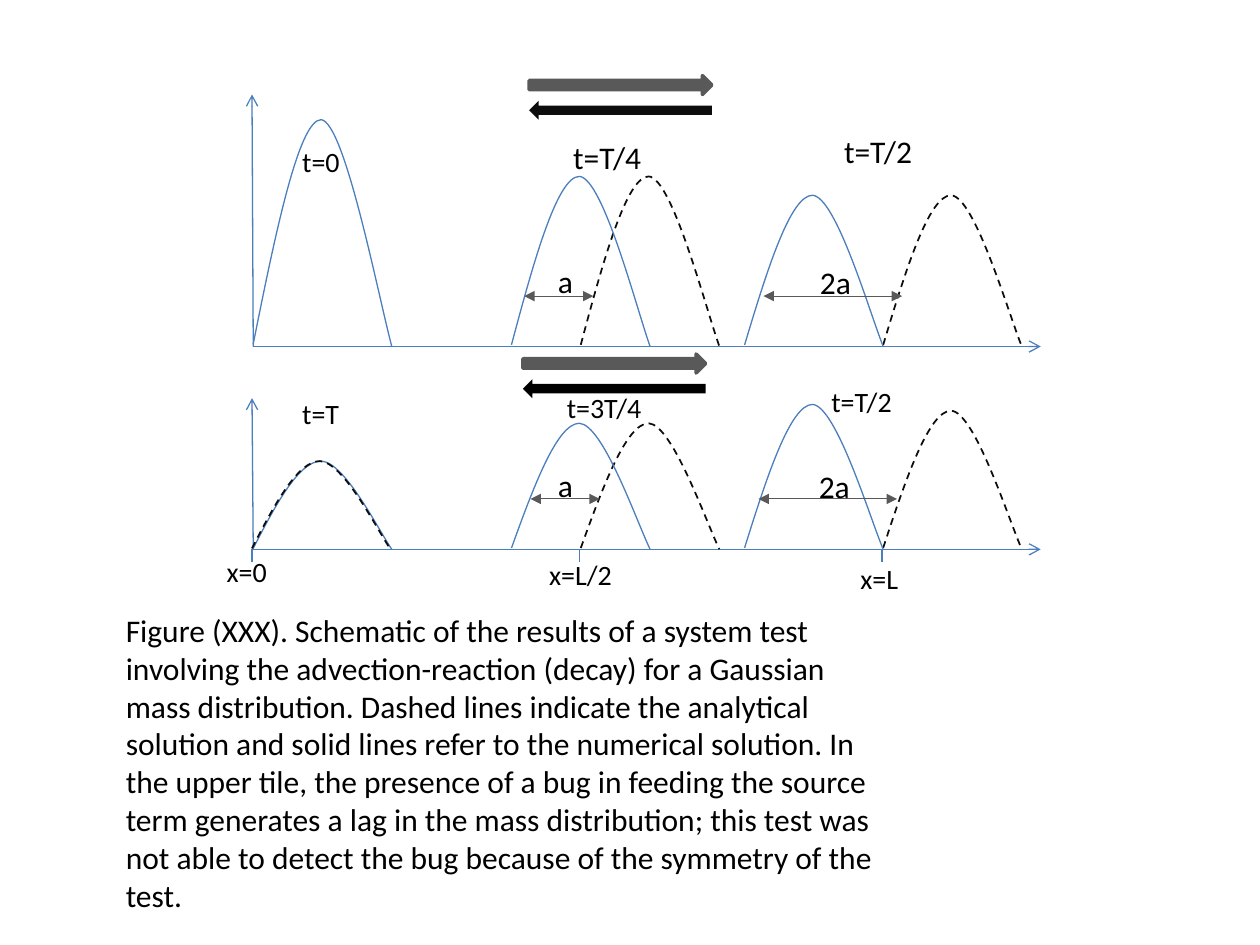
from dataclasses import dataclass
from lxml.etree import SubElement
from pptx import Presentation
from pptx.dml.color import RGBColor
from pptx.enum.dml import MSO_LINE
from pptx.enum.shapes import MSO_CONNECTOR, MSO_SHAPE
from pptx.oxml.ns import qn
from pptx.util import Inches, Pt

BLUE, GRAY, NEAR_BLACK, BLACK = "4B7EBC", "595959", "0D0D0D", "000000"
CURVE_WIDTH = 1.1
CURVE_POINTS = [(0, 0.99), (0.16, 0.5), (0.33, 0), (0.49, 0), (0.66, 0.01), (0.9, 0.77), (1, 1)]


@dataclass
class Curve:
    left: float
    top: float
    dashed: bool = False


@dataclass
class Label:
    text: str
    left: float
    top: float
    width: float
    size: int = 16
    height: float = 0.37


@dataclass
class Panel:
    baseline: float
    axis_top: float
    curves: list[Curve]
    spans: list[tuple[float, float]]
    span_y: float
    flow_left: float
    flow_top: float
    back_color: str


def color(value: str) -> RGBColor:
    return RGBColor.from_string(value)


def draw_line(page, start, end, line_color: str, width: float, head: str = "", tail: str = "") -> None:
    line = page.shapes.add_connector(
        MSO_CONNECTOR.STRAIGHT, *(Inches(value) for value in (*start, *end)))
    line.line.color.rgb = color(line_color)
    line.line.width = Pt(width)
    outline = line.line._get_or_add_ln()
    for tag, kind in (("a:headEnd", head), ("a:tailEnd", tail)):
        if kind:
            SubElement(outline, qn(tag), type=kind)
    SubElement(line._element.spPr, qn("a:effectLst"))


def draw_curve(page, curve: Curve, baseline: float) -> None:
    height = baseline - curve.top
    points = [(Inches(curve.left + CURVE_WIDTH * across), Inches(curve.top + height * down))
              for across, down in CURVE_POINTS]
    builder = page.shapes.build_freeform(*points[0])
    builder.add_line_segments(points[1:], close=False)
    shape = builder.convert_to_shape()
    outline = shape._element.spPr.find(".//" + qn("a:path"))
    segments = outline.findall(qn("a:lnTo"))
    for first in range(0, len(segments), 3):
        bezier = SubElement(outline, qn("a:cubicBezTo"))
        for segment in segments[first:first + 3]:
            bezier.append(segment[0])
            outline.remove(segment)
    shape.shadow.inherit = False
    shape.fill.background()
    shape.line.color.rgb = color(NEAR_BLACK if curve.dashed else BLUE)
    shape.line.width = Pt(1 if curve.dashed else 0.75)
    if curve.dashed:
        shape.line.dash_style = MSO_LINE.DASH


def draw_flow(page, kind, left: float, top: float, fill: str, outlined: bool) -> None:
    arrow = page.shapes.add_shape(kind, Inches(left), Inches(top), Inches(1.45), Inches(0.15))
    arrow.shadow.inherit = False
    arrow.fill.solid()
    arrow.fill.fore_color.rgb = color(fill)
    if outlined:
        arrow.line.color.rgb = color(fill)
        arrow.line.width = Pt(2)
    else:
        arrow.line.fill.background()


def draw_label(page, label: Label) -> None:
    box = page.shapes.add_textbox(
        Inches(label.left), Inches(label.top), Inches(label.width), Inches(label.height))
    box.text_frame.word_wrap = True
    box.text_frame.text = label.text
    font = box.text_frame.paragraphs[0].runs[0].font
    font.name = "Calibri"
    font.size = Pt(label.size)
    font.color.rgb = color(BLACK)


def draw_panel(page, panel: Panel) -> None:
    origin = (2.01, panel.baseline)
    for end in ((2.0, panel.axis_top), (8.26, panel.baseline)):
        draw_line(page, origin, end, BLUE, 0.75, tail="arrow")
    for curve in panel.curves:
        draw_curve(page, curve, panel.baseline)
    for left, right in panel.spans:
        draw_line(page, (left, panel.span_y), (right, panel.span_y), GRAY, 0.5, "triangle", "triangle")
    draw_flow(page, MSO_SHAPE.RIGHT_ARROW, panel.flow_left, panel.flow_top, GRAY, True)
    draw_flow(page, MSO_SHAPE.LEFT_ARROW, panel.flow_left, panel.flow_top + 0.2, panel.back_color, False)


PANELS = [
    Panel(2.75, 0.75,
          [Curve(2.01, 0.95), Curve(4.61, 1.4, True), Curve(4.06, 1.4),
           Curve(7.01, 1.55, True), Curve(5.91, 1.55)],
          [(4.16, 4.71), (6.06, 7.16)], 2.35, 4.2, 0.6, NEAR_BLACK),
    Panel(4.36, 3.16,
          [Curve(2.01, 3.66), Curve(4.61, 3.36, True), Curve(4.06, 3.36),
           Curve(7.01, 3.26, True), Curve(5.91, 3.21), Curve(2.0, 3.66, True)],
          [(4.21, 4.76), (6.02, 7.12)], 3.96, 4.15, 2.81, BLACK),
]
CAPTION = (
    "Figure (XXX). Schematic of the results of a system test involving the "
    "advection-reaction (decay) for a Gaussian mass distribution. Dashed lines indicate "
    "the analytical solution and solid lines refer to the numerical solution. In the upper "
    "tile, the presence of a bug in feeding the source term generates a lag in the mass "
    "distribution; this test was not able to detect the bug because of the symmetry of the test."
)
LABELS = [
    Label("t=0", 2.3, 1.1, 0.65),
    Label("t=T/4", 4.45, 1.05, 1.05, 18, 0.4),
    Label("t=T/2", 6.6, 1.0, 1.05, 18, 0.4),
    Label("a", 4.33, 2.03, 0.4, 18, 0.4),
    Label("2a", 6.41, 2.04, 0.6, 18, 0.4),
    Label("t=T", 2.3, 3.1, 0.65),
    Label("t=3T/4", 4.4, 3.05, 1.05),
    Label("t=T/2", 6.5, 3.0, 1.05),
    Label("a", 4.33, 3.65, 0.4, 18, 0.4),
    Label("2a", 6.4, 3.66, 0.6, 18, 0.4),
    Label("x=0", 1.7, 4.35, 0.95),
    Label("x=L/2", 4.26, 4.38, 0.95),
    Label("x=L", 6.73, 4.41, 0.95),
    Label(CAPTION, 0.9, 4.8, 6.15, 18, 2.52),
]

deck = Presentation()
deck.slide_width, deck.slide_height = Inches(10), Inches(7.5)
page = deck.slides.add_slide(deck.slide_layouts[6])
for panel in PANELS:
    draw_panel(page, panel)
for tick in (2.0, 4.6, 7.0):
    draw_line(page, (tick, 4.36), (tick, 4.46), BLUE, 0.75)
for label in LABELS:
    draw_label(page, label)
deck.save("out.pptx")
